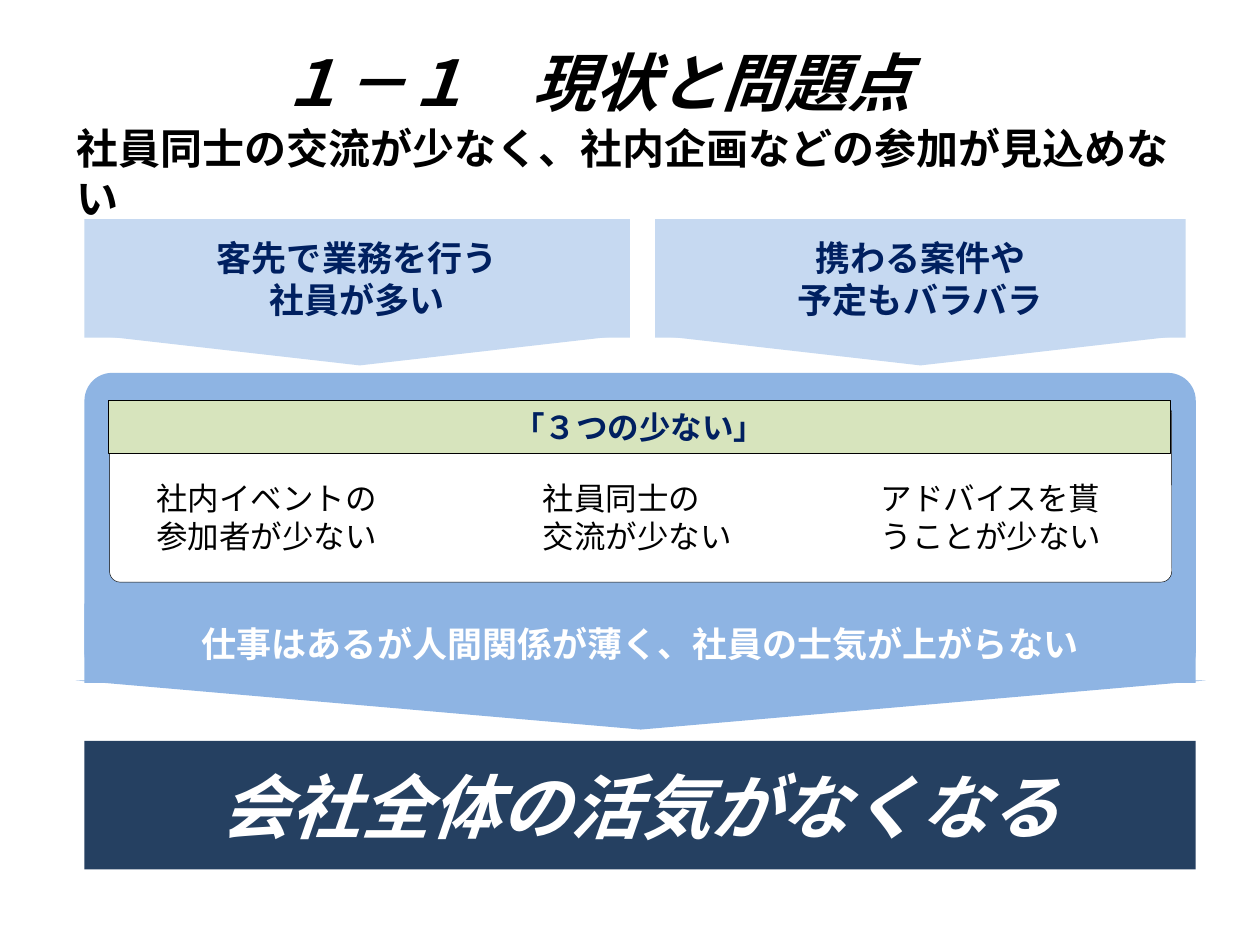
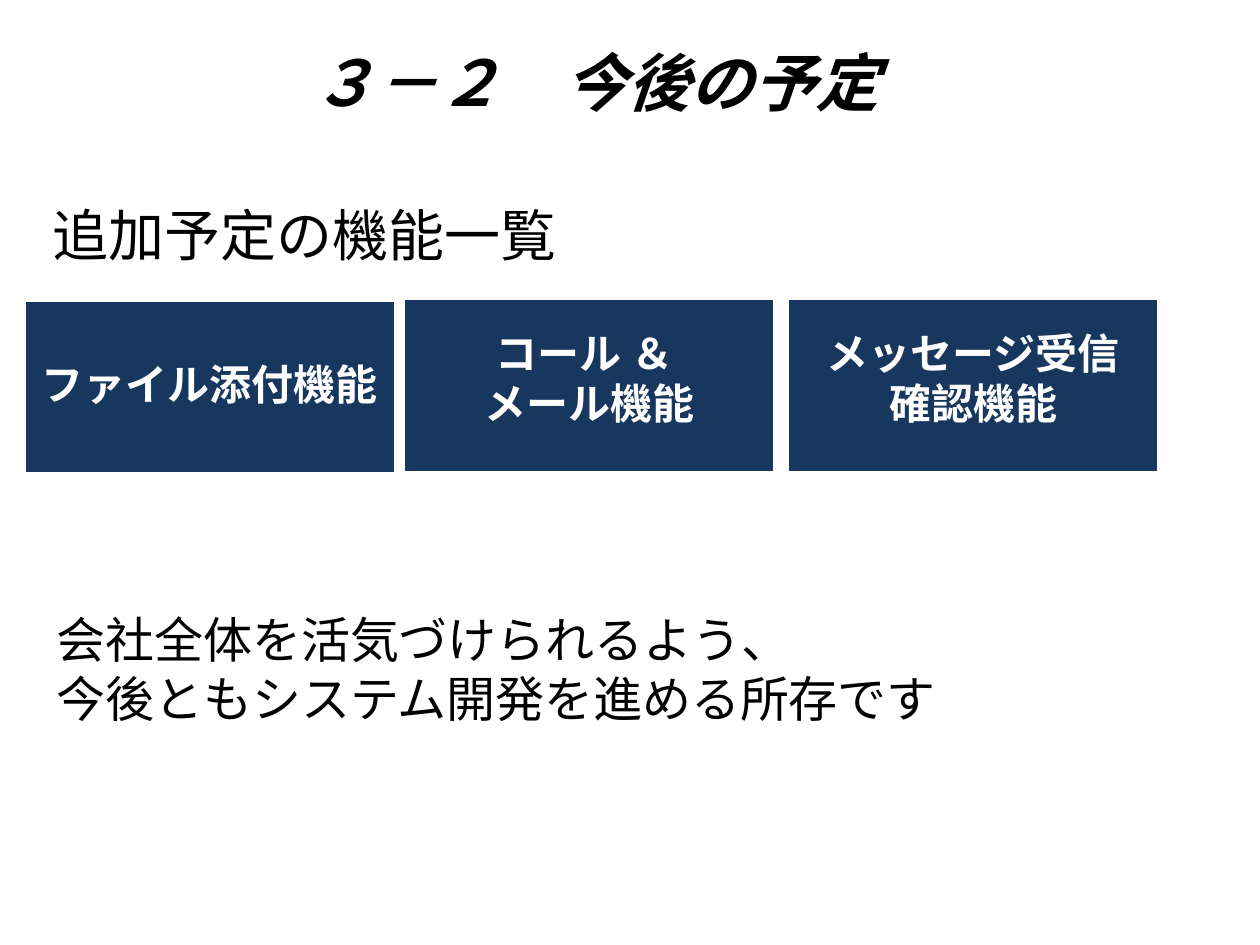
from pptx import Presentation
from pptx.dml.color import RGBColor
from pptx.enum.shapes import MSO_SHAPE
from pptx.enum.text import MSO_ANCHOR, MSO_AUTO_SIZE, PP_ALIGN
from pptx.util import Inches, Pt

RECT, ROUNDED, TRIANGLE = MSO_SHAPE.RECTANGLE, MSO_SHAPE.ROUNDED_RECTANGLE, MSO_SHAPE.ISOSCELES_TRIANGLE
CENTER, LEFT = PP_ALIGN.CENTER, PP_ALIGN.LEFT
MIDDLE, TOP = MSO_ANCHOR.MIDDLE, MSO_ANCHOR.TOP
FIXED = MSO_AUTO_SIZE.NONE
TITLE_ONLY = 5

BLACK, WHITE, INK = "000000", "FFFFFF", "002060"
PALE, SKY, GREEN = "C6D9F1", "8EB4E3", "D7E4BD"
CONCLUSION_NAVY, FEATURE_NAVY = "254061", "17375E"
HEADING_FONT, BODY_FONT = "Calibri", "Arial"

PROBLEMS = {
    "title": "１－１\u3000現状と問題点".replace("\u3000", "　"),
    "summary": "社員同士の交流が少なく、社内企画などの参加が見込めない",
    # banner left, banner width, arrow left, lines
    "causes": [
        (5.2, 4.21, 5.2, ["携わる案件や", "予定もバラバラ"]),
        (0.67, 4.33, 0.75, ["客先で業務を行う", "社員が多い"]),
    ],
    "shortage_heading": "「３つの少ない」",
    "shortages": [
        (1.14, ["社内イベントの", "参加者が少ない"]),
        (4.21, ["社員同士の", "交流が少ない"]),
        (6.89, ["アドバイスを貰うことが少ない"]),
    ],
    "effect": "仕事はあるが人間関係が薄く、社員の士気が上がらない",
    "conclusion": "会社全体の活気がなくなる",
}
PLANS = {
    "title": "３－２　今後の予定",
    "heading": "追加予定の機能一覧",
    # left, top, lines
    "features": [
        (0.19, 2.38, ["ファイル添付機能"]),
        (3.2, 2.37, ["コール ＆ ", "メール機能"]),
        (6.25, 2.37, ["メッセージ受信", "確認機能"]),
    ],
    "closing": ["会社全体を活気づけられるよう、", "今後ともシステム開発を進める所存です"],
}


def color(value):
    return RGBColor.from_string(value)


def write(box, lines, size, ink, font=HEADING_FONT, bold=True, italic=False,
          align=CENTER, anchor=MIDDLE):
    frame = box.text_frame
    frame.text = "\n".join(lines)
    frame.word_wrap = True
    frame.auto_size = FIXED
    frame.vertical_anchor = anchor
    for para in frame.paragraphs:
        para.alignment = align
        para.font.name = font
        para.font.size = Pt(size)
        para.font.bold = bold
        para.font.italic = italic
        para.font.color.rgb = color(ink)


def add_block(shapes, kind, place, fill, line=None, line_width=0.25):
    block = shapes.add_shape(kind, *map(Inches, place))
    block.shadow.inherit = False
    block.fill.solid()
    block.fill.fore_color.rgb = color(fill)
    if line:
        block.line.color.rgb = color(line)
        block.line.width = Pt(line_width)
    else:
        block.line.fill.background()
    return block


def add_down_arrow(shapes, place, fill):
    add_block(shapes, TRIANGLE, place, fill).rotation = 180


def add_text(shapes, place, lines, size, bold=False):
    box = shapes.add_textbox(*map(Inches, place))
    write(box, lines, size, BLACK, BODY_FONT, bold, align=LEFT, anchor=TOP)


def add_page(deck, title):
    page = deck.slides.add_slide(deck.slide_layouts[TITLE_ONLY])
    heading = page.shapes.title
    heading.left, heading.top, heading.width, heading.height = map(Inches, (0, 0.21, 9.45, 0.87))
    write(heading, [title], 36, BLACK, italic=True)
    return page


def build_problems(deck):
    shapes = add_page(deck, PROBLEMS["title"]).shapes
    add_text(shapes, (0.51, 0.92, 8.98, 0.5), [PROBLEMS["summary"]], 24, bold=True)

    for left, width, arrow_left, lines in PROBLEMS["causes"]:
        cause = shapes.add_group_shape().shapes
        banner = add_block(cause, RECT, (left, 1.74, width, 0.94), PALE)
        write(banner, lines, 20, INK)
        add_down_arrow(cause, (arrow_left, 2.66, 4.21, 0.24), PALE)

    conclusion = add_block(shapes, RECT, (0.67, 5.88, 8.82, 1.02), CONCLUSION_NAVY)
    write(conclusion, [PROBLEMS["conclusion"]], 40, WHITE, italic=True)

    panel = shapes.add_group_shape().shapes
    add_block(panel, ROUNDED, (0.67, 2.96, 8.82, 2.44), SKY).adjustments[0] = 0.09
    effect = add_block(panel, RECT, (0.67, 4.79, 8.82, 0.63), SKY)
    write(effect, [PROBLEMS["effect"]], 20, WHITE)
    add_down_arrow(panel, (0.6, 5.4, 8.97, 0.39), SKY)
    add_block(panel, ROUNDED, (0.87, 3.2, 8.43, 1.42), WHITE, BLACK).adjustments[0] = 0.06
    header = add_block(panel, RECT, (0.86, 3.18, 8.43, 0.42), GREEN, BLACK)
    write(header, [PROBLEMS["shortage_heading"]], 18, INK)
    for left, lines in PROBLEMS["shortages"]:
        add_text(panel, (left, 3.75, 1.97, 0.71), lines, 18)


def build_plans(deck):
    shapes = add_page(deck, PLANS["title"]).shapes
    add_text(shapes, (0.32, 1.54, 6.42, 0.64), [PLANS["heading"]], 32)

    for left, top, lines in PLANS["features"]:
        feature = add_block(shapes, RECT, (left, top, 2.95, 1.38), FEATURE_NAVY, WHITE, 2)
        write(feature, lines, 24, WHITE)
        frame = feature.text_frame
        frame.margin_left = frame.margin_right = Inches(0.1)
        frame.margin_top = frame.margin_bottom = Inches(0.1)
        for para in frame.paragraphs:
            para.line_spacing = Pt(20) if len(lines) > 1 else 0.9
            para.space_after = Pt(8.4)

    add_text(shapes, (0.35, 4.79, 8.19, 1.04), PLANS["closing"], 28)


def main():
    deck = Presentation()
    deck.slide_width, deck.slide_height = Inches(10), Inches(7.5)
    build_problems(deck)
    build_plans(deck)
    deck.save("out.pptx")


if __name__ == "__main__":
    main()
